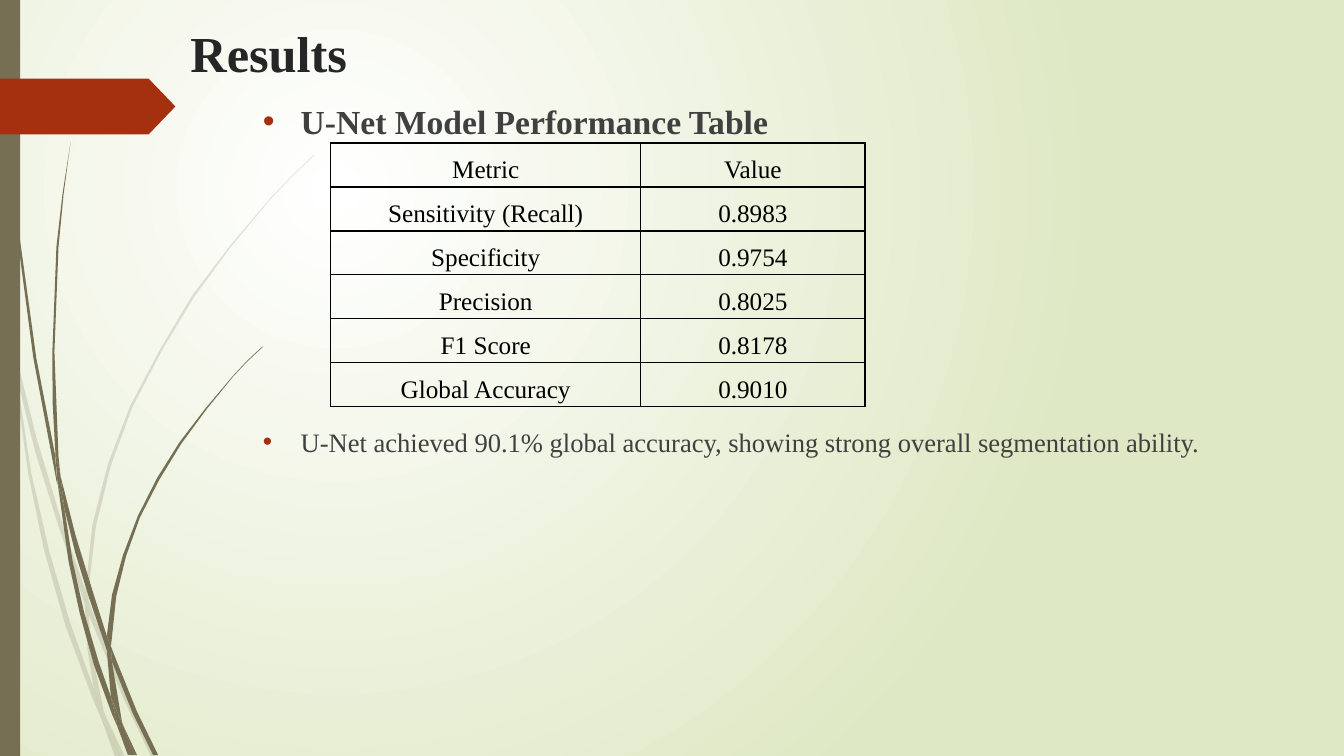
from lxml import etree
from pptx import Presentation
from pptx import util as u
from pptx.dml.color import RGBColor
from pptx.enum import shapes, text
from pptx.oxml import parse_xml
from pptx.oxml.ns import nsdecls, qn

Pt = u.Pt
FONT = "Times New Roman"
COLORS = {"glow": "FFFFFF", "edge": "DFE8C4", "wisp": "766F54", "accent": "A53010",
          "title": "262626", "body": "404040", "table": "000000"}

# Outlines of the pieces of each tuft of grass, in points
FADED_TUFT = [
    [(7.9, 252), (6.5, 231.8), (0, 203), (0, 215.3), (7.2, 247.7)],
    [(41.8, 375.8), (60.5, 431.3), (61.2, 421.9), (44.6, 374.4), (26, 312.5),
     (10.1, 248.4), (12.2, 270.7), (25.5, 324)],
    [(66.2, 437), (63.4, 429.1), (63.4, 439.2), (88.6, 499.7), (108, 540.7),
     (111.6, 540.7), (91.4, 498.2)],
    [(85.7, 540.7), (89.3, 540.7), (75.6, 511.9)],
    [(67, 491.8), (50.4, 445.7), (35, 393), (22.3, 337.7), (12.2, 270.7), (7.9, 252),
     (20.2, 338.4), (31.5, 393), (46.8, 447.1), (66.2, 499), (72.7, 514.1), (71.3, 509)],
    [(60.5, 431.3), (62.6, 465.1), (67, 491.8), (69.1, 498.2), (75.6, 511.9),
     (74.2, 508.3), (65.5, 465.1), (63.4, 439.2), (63.4, 437.8)],
    [(63.4, 420.5), (68.5, 376), (79.2, 332.6), (94.5, 291), (115.2, 251.3),
     (138.5, 212.5), (164.9, 176.4), (193, 142.6), (208.8, 126), (224.6, 110.9),
     (224.6, 110.2), (208.1, 126), (193, 141.8), (164.2, 175.7), (137, 211.5),
     (113.8, 250.6), (93, 290), (77, 331.9), (66, 375), (61.2, 420.5), (61.2, 421.9),
     (63.4, 429.1)],
    [(72.7, 514.1), (82.1, 540.7), (85.7, 540.7)],
    [(63.4, 437.8), (63.4, 439.2), (63.4, 429.1), (61.2, 421.9), (60.5, 431.3)],
    [(69.1, 498.2), (67, 491.8), (71.3, 509), (72.7, 514.1), (85.7, 540.7), (75.6, 511.9)],
]
SOLID_TUFT = [
    [(5, 79.2), (12.2, 167.8), (23.8, 255.6), (40.3, 343.4), (41, 346.3), (39.6, 329),
     (39.6, 326.2), (25.9, 255.6), (13.7, 167), (5.8, 78.5), (3.6, 34.6), (2.9, 0),
     (2.2, 0), (2.9, 34.6)],
    [(63.4, 426.2), (76.3, 464.4), (76.3, 454.3), (67, 424.8), (54, 382.5), (43.2, 339.8),
     (46.1, 363.6), (53.8, 395)],
    [(81.4, 467.3), (79.2, 461.5), (79.9, 472.3), (95, 509.8), (109.4, 539.3),
     (113, 539.3), (97.9, 508.3)],
    [(79.2, 497.5), (70.6, 473), (60, 437), (51.8, 400.3), (46.1, 363.6), (41, 343.4),
     (49, 401), (57, 438), (67, 474.5), (79.9, 509.8), (84.2, 519.8), (83.5, 516.2)],
    [(43.2, 339.8), (41.8, 326.2), (38.9, 251.3), (41.8, 176.4), (45.4, 139),
     (50.4, 101.5), (44.6, 139), (40.3, 176.4), (37.4, 251.3), (37.6, 288),
     (39.6, 323.3)],
    [(95.8, 539.3), (97.9, 539.3), (87.8, 517.7)],
    [(41, 343.4), (46.1, 363.6), (43.2, 339.8), (39.6, 323.3), (39.6, 326.2)],
    [(79.9, 455.8), (83, 426), (90, 397.4), (100, 369.5), (113.8, 342.7), (129.5, 317),
     (147.6, 292.3), (166.3, 269.3), (176.4, 258.5), (187.9, 247.7), (187.2, 247.7),
     (176.4, 257.8), (166.3, 268.6), (146.9, 291.6), (128.2, 316), (112.3, 341.3),
     (98.5, 368.5), (87.8, 396.7), (80, 425), (76.3, 454.3), (79.2, 461.5)],
    [(84.2, 519.8), (91.4, 539.3), (94.3, 539.3)],
    [(76.3, 464.4), (79.2, 497.5), (83.5, 508.3), (87.8, 517.7), (87.1, 515.5),
     (79.9, 472.3), (78.5, 468.7)],
    [(76.3, 464.4), (78.5, 468.7), (79.9, 472.3), (79.2, 461.5), (76.3, 454.3)],
    [(83.5, 508.3), (79.2, 497.5), (83.5, 516.2), (84.2, 519.8), (93.6, 539.3),
     (95.8, 539.3), (87.8, 517.7)],
]

TABLE_ROWS = [("Metric", "Value"), ("Sensitivity (Recall)", "0.8983"),
              ("Specificity", "0.9754"), ("Precision", "0.8025"),
              ("F1 Score", "0.8178"), ("Global Accuracy", "0.9010")]


def rgb(name):
    return RGBColor.from_string(COLORS[name])


def set_background(slide):
    stops = "".join(f'<a:gs pos="{pos}"><a:srgbClr val="{COLORS[name]}"/></a:gs>'
                    for pos, name in ((0, "glow"), (100000, "edge")))
    bg = parse_xml(
        f'<p:bg {nsdecls("p", "a")}><p:bgPr><a:gradFill rotWithShape="1">'
        f'<a:gsLst>{stops}</a:gsLst><a:path path="circle">'
        '<a:fillToRect l="50000" t="50000" r="100000" b="100000"/></a:path>'
        '</a:gradFill><a:effectLst/></p:bgPr></p:bg>')
    slide.element.cSld.insert(0, bg)


def paint(sp, color):
    sp.shadow.inherit = False
    sp.fill.solid()
    sp.fill.fore_color.rgb = rgb(color)
    sp.line.fill.background()


def add_tuft(slide, pieces, alpha=100):
    for piece in pieces:
        outline = [(Pt(x), Pt(y)) for x, y in piece]
        builder = slide.shapes.build_freeform(*outline[0])
        builder.add_line_segments(outline[1:], close=True)
        sp = builder.convert_to_shape()
        paint(sp, "wisp")
        if alpha < 100:
            color = sp.element.spPr.find(qn("a:solidFill"))[0]
            etree.SubElement(color, qn("a:alpha")).set("val", str(alpha * 1000))


def add_preset(slide, kind, box, color):
    sp = slide.shapes.add_shape(kind, *map(Pt, box))
    paint(sp, color)
    return sp


def add_textbox(slide, box):
    tf = slide.shapes.add_textbox(*map(Pt, box)).text_frame
    tf.word_wrap = True
    return tf


def write(p, words, size, color, bold=False):
    p.text = words
    font = p.runs[0].font
    font.name, font.size, font.bold = FONT, Pt(size), bold
    font.color.rgb = rgb(color)


def add_bullet(p, indent=27):
    pPr = p._p.get_or_add_pPr()
    pPr.set("marL", str(Pt(indent)))
    pPr.set("indent", str(-Pt(indent)))
    color = etree.SubElement(pPr, qn("a:buClr"))
    etree.SubElement(color, qn("a:srgbClr")).set("val", COLORS["accent"])
    etree.SubElement(pPr, qn("a:buFont")).set("typeface", "Arial")
    etree.SubElement(pPr, qn("a:buChar")).set("char", "•")


def add_borders(cell):
    tcPr = cell._tc.get_or_add_tcPr()
    for i, side in enumerate(("lnL", "lnR", "lnT", "lnB")):
        tcPr.insert(i, parse_xml(
            f'<a:{side} {nsdecls("a")} w="{Pt(1)}"><a:solidFill>'
            f'<a:srgbClr val="{COLORS["table"]}"/></a:solidFill></a:{side}>'))


def add_metrics_table(slide, left, top, widths, row_height):
    frame = slide.shapes.add_table(len(TABLE_ROWS), len(widths), Pt(left), Pt(top),
                                   Pt(sum(widths)), Pt(row_height * len(TABLE_ROWS)))
    table = frame.table
    table.first_row = table.horz_banding = False
    for column, width in zip(table.columns, widths):
        column.width = Pt(width)
    for r, row in enumerate(TABLE_ROWS):
        table.rows[r].height = Pt(row_height)
        for c, words in enumerate(row):
            cell = table.cell(r, c)
            cell.fill.background()
            add_borders(cell)
            cell.vertical_anchor = text.MSO_ANCHOR.MIDDLE
            cell.margin_left = cell.margin_right = Pt(0.7)
            cell.margin_top = cell.margin_bottom = Pt(0.7)
            p = cell.text_frame.paragraphs[0]
            write(p, words, 18, "table")
            p.alignment = text.PP_ALIGN.CENTER
            p.line_spacing = 1.38


def main():
    prs = Presentation()
    prs.slide_width, prs.slide_height = Pt(960), Pt(540)
    slide = prs.slides.add_slide(prs.slide_layouts[6])
    set_background(slide)
    add_tuft(slide, FADED_TUFT, alpha=20)
    add_tuft(slide, SOLID_TUFT)
    add_preset(slide, shapes.MSO_SHAPE.RECTANGLE, (0, 0, 14.4, 540), "wisp")
    arrow = add_preset(slide, shapes.MSO_SHAPE.PENTAGON, (0, 56.2, 125.3, 39.8), "accent")
    arrow.adjustments[0] = 0.48

    title = add_textbox(slide, (128.9, 12.2, 702, 100.8))
    write(title.paragraphs[0], "Results", 36, "title", bold=True)

    body = add_textbox(slide, (180.7, 68.4, 702, 460))
    heading = body.paragraphs[0]
    add_bullet(heading)
    write(heading, "U-Net Model Performance Table", 24, "body", bold=True)
    finding = body.add_paragraph()
    add_bullet(finding)
    finding.space_before = Pt(203.5)
    write(finding, "U-Net achieved 90.1% global accuracy, showing strong overall "
          "segmentation ability.", 19, "body")

    add_metrics_table(slide, 236.2, 102.2, (221.5, 160.2), 31.4)
    prs.save("out.pptx")


if __name__ == "__main__":
    main()
